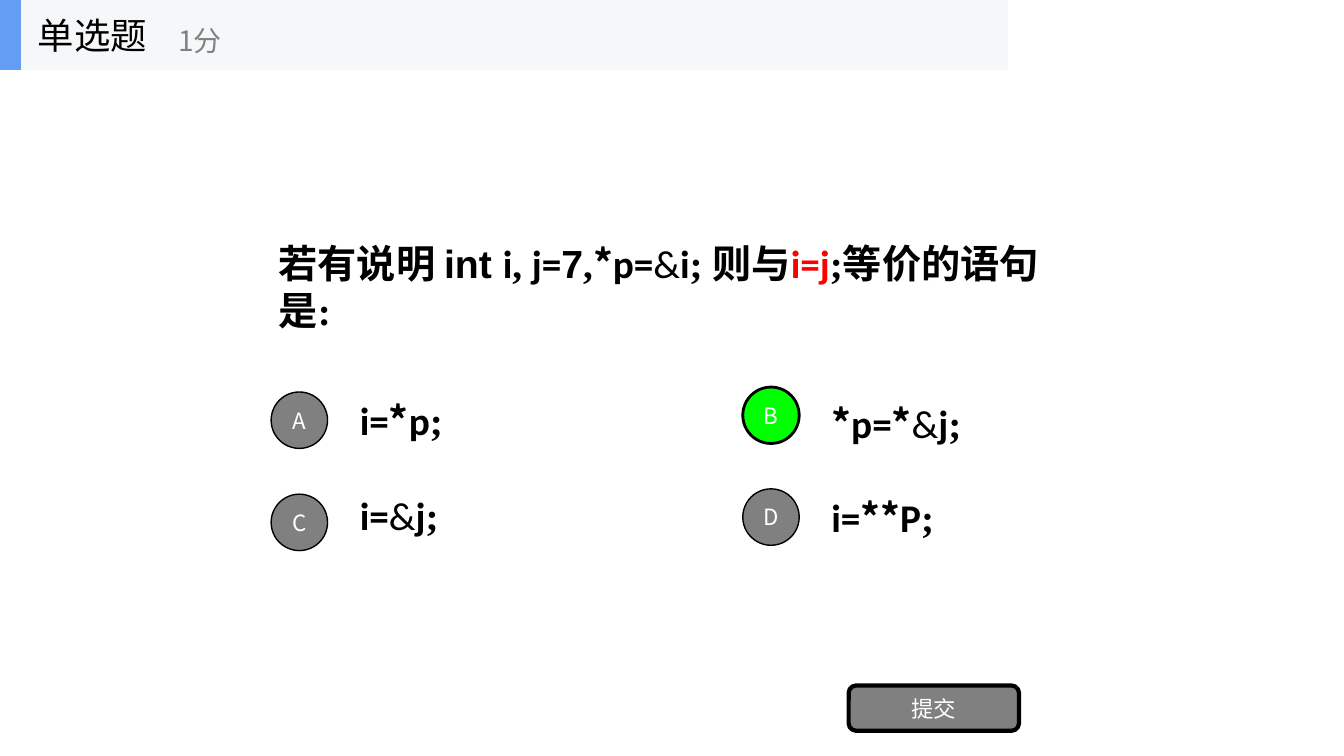
"""Build a single-choice quiz slide about C pointers."""
from typing import NamedTuple

from lxml import etree
from pptx import Presentation
from pptx.dml.color import RGBColor
from pptx.enum.shapes import MSO_SHAPE
from pptx.enum.text import MSO_ANCHOR, PP_ALIGN
from pptx.oxml.ns import qn
from pptx.util import Pt

OVAL, ROUNDED, RECTANGLE = MSO_SHAPE.OVAL, MSO_SHAPE.ROUNDED_RECTANGLE, MSO_SHAPE.RECTANGLE
MIDDLE, CENTER = MSO_ANCHOR.MIDDLE, PP_ALIGN.CENTER
SANS, BODY, SERIF, CODE = "Noto Sans CJK SC", "Calibri", "Times New Roman", "Arial"
BLACK, WHITE, GRAY, GREEN, RED = "000000", "FFFFFF", "808080", "00FF00", "FF0000"
BAND, ACCENT = "F6F7F8", "639EF4"


class Span(NamedTuple):
    text: str
    face: str = BODY
    bold: bool = True
    color: str = BLACK


class Option(NamedTuple):
    letter: str
    badge_left: float
    badge_top: float
    text_left: float
    text_top: float
    spans: list[Span]
    fill: str = GRAY
    line: float = 1


STAR, AMPERSAND, END = Span("*", SANS), Span("&", bold=False), Span(";", SERIF)

QUESTION = [
    Span("若有说明 "), Span("int ", CODE), Span("i"), Span(", ", SERIF), Span("j="),
    Span("7", CODE), Span(",", SERIF), STAR, Span("p="), AMPERSAND, Span("i"),
    Span("; ", SERIF), Span("则与"), Span("i=j", color=RED), END,
    Span("等价的语句是"), Span(":", SERIF),
]

OPTIONS = [
    Option("A", 193.7, 280, 250, 275, [Span("i="), STAR, Span("p"), END]),
    Option("C", 193.7, 353, 250, 342.7, [Span("i="), AMPERSAND, Span("j"), END]),
    Option("B", 530.6, 276.5, 586.8, 276.5,
           [STAR, Span("p="), STAR, AMPERSAND, Span("j"), END], GREEN, 2),
    Option("D", 530.6, 349.2, 586.8, 344.2, [Span("i="), STAR, STAR, Span("P"), END]),
]


def rgb(value: str) -> RGBColor:
    """Turn a hex string into a colour."""
    return RGBColor.from_string(value)


def add_span(para, text: str, *, size: float, face: str = SANS,
             color: str = BLACK, bold: bool = False) -> None:
    """Append formatted text to a paragraph."""
    span = para.add_run()
    span.text = text
    span.font.size = Pt(size)
    span.font.name = face
    span.font.bold = bold
    span.font.color.rgb = rgb(color)
    east_asian = etree.SubElement(span.font._element, qn("a:ea"))
    east_asian.set("typeface", SANS)


def add_text(page, left: float, top: float, width: float, height: float):
    """Add a wrapped, vertically centred text box and return its paragraph."""
    box = page.shapes.add_textbox(Pt(left), Pt(top), Pt(width), Pt(height))
    box.text_frame.word_wrap = True
    box.text_frame.vertical_anchor = MIDDLE
    return box.text_frame.paragraphs[0]


def add_spans(page, left: float, top: float, width: float, height: float,
              spans: list[Span]) -> None:
    """Add a text box of mixed spans."""
    para = add_text(page, left, top, width, height)
    for span in spans:
        add_span(para, span.text, size=28, face=span.face, color=span.color, bold=span.bold)


def add_block(page, kind, left: float, top: float, width: float, height: float,
              fill: str, line: float = 0, label: str = "") -> None:
    """Add a filled shape with an optional outline and label."""
    block = page.shapes.add_shape(kind, Pt(left), Pt(top), Pt(width), Pt(height))
    block.shadow.inherit = False
    block.fill.solid()
    block.fill.fore_color.rgb = rgb(fill)
    if line:
        block.line.color.rgb = rgb(BLACK)
        block.line.width = Pt(line)
    else:
        block.line.fill.background()
    if label:
        frame = block.text_frame
        frame.margin_left = frame.margin_right = frame.margin_top = frame.margin_bottom = 0
        frame.vertical_anchor = MIDDLE
        frame.paragraphs[0].alignment = CENTER
        add_span(frame.paragraphs[0], label, size=16, color=WHITE)


def main() -> None:
    """Build and save the deck."""
    deck = Presentation()
    deck.slide_width, deck.slide_height = Pt(960), Pt(540)
    page = deck.slides.add_slide(deck.slide_layouts[6])

    add_spans(page, 192, 50, 576, 309.6, QUESTION)
    for option in OPTIONS:
        add_spans(page, option.text_left, option.text_top, 233.3, 50.4, option.spans)
        add_block(page, OVAL, option.badge_left, option.badge_top, 40.3, 40.3,
                  option.fill, option.line, option.letter)
    add_block(page, ROUNDED, 606.2, 489.6, 121.7, 32.4, GRAY, 3, "提交")

    add_block(page, RECTANGLE, 0, 0, 720, 50, BAND)
    add_block(page, RECTANGLE, 0, 0, 15, 50, ACCENT)
    add_span(add_text(page, 20, 0, 150, 50), "单选题", size=26)
    add_span(add_text(page, 120.2, 8.6, 180, 40.3), "1分", size=20, color=GRAY)

    deck.save("out.pptx")


if __name__ == "__main__":
    main()
